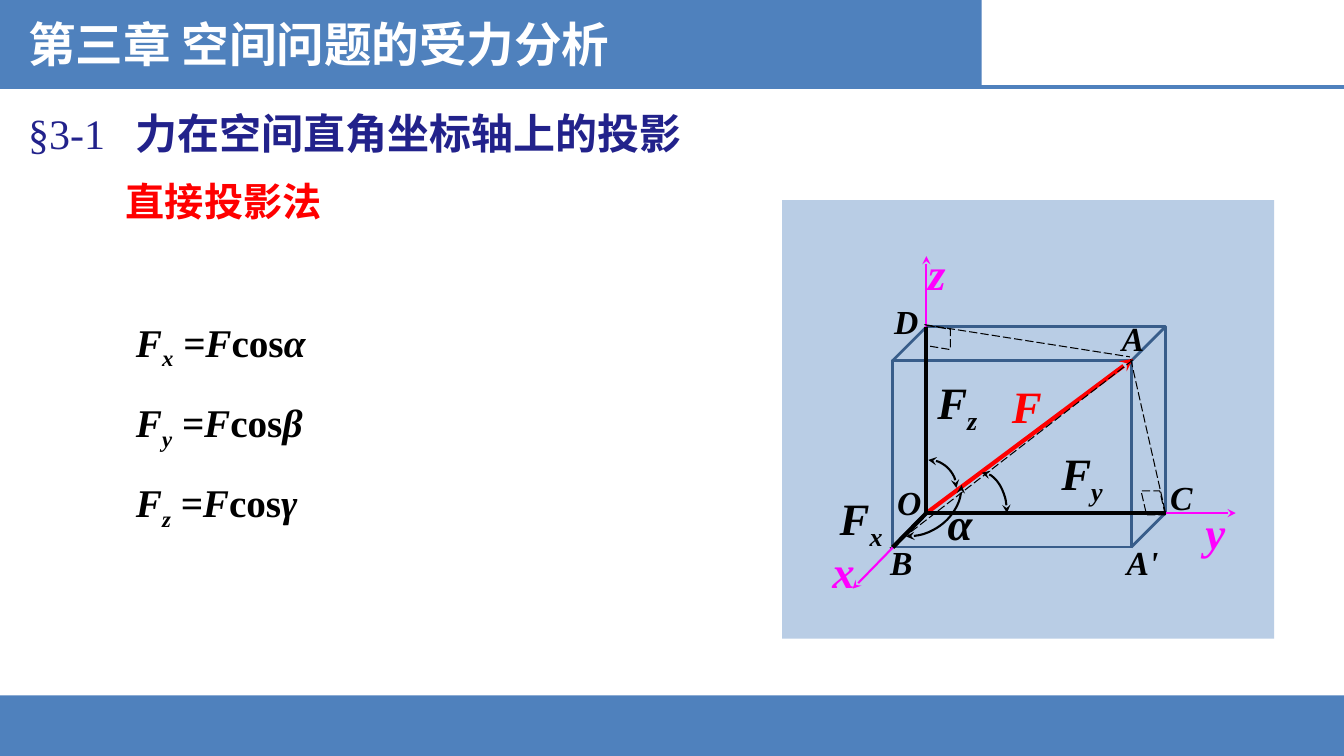
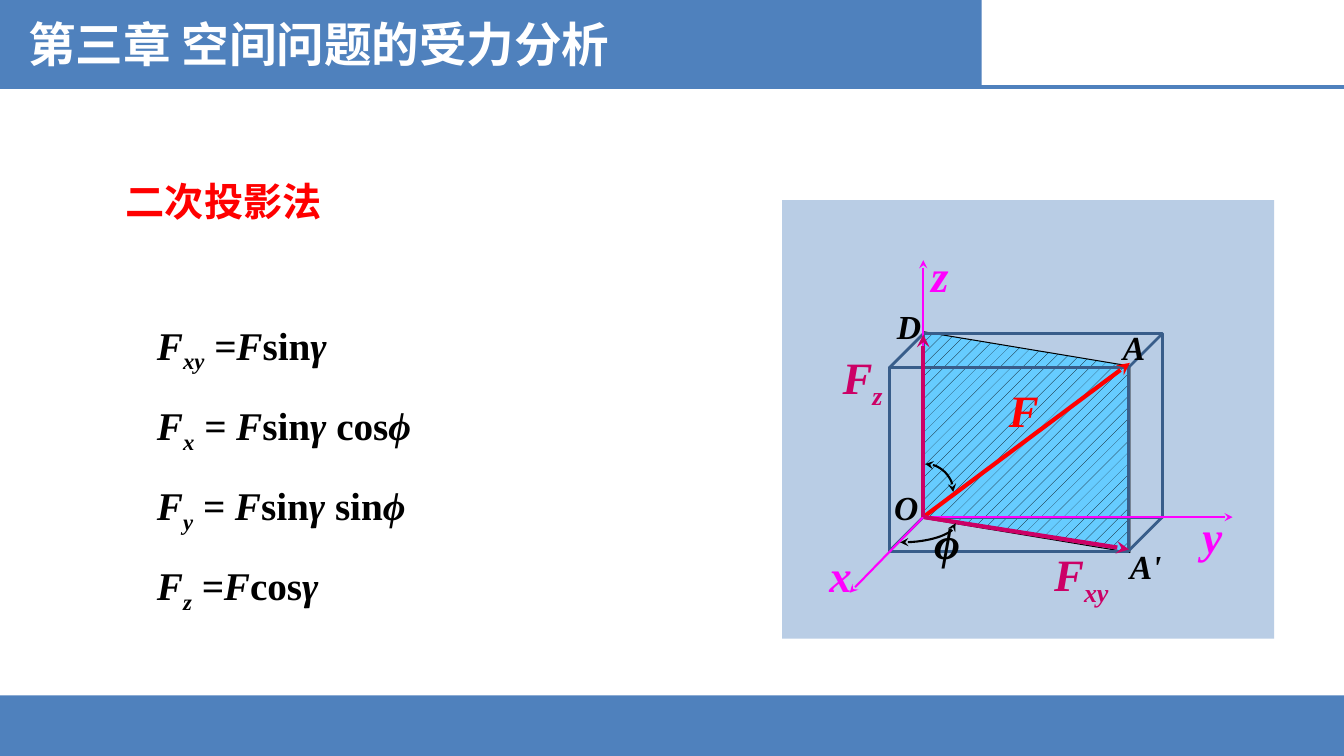
from lxml import etree
from pptx import Presentation
from pptx.dml.color import RGBColor
from pptx.enum import dml, shapes
from pptx.oxml import ns
from pptx.util import Pt


class Theme:
    band = "4F81BD"
    panel = "B9CDE5"
    cube = "385D8A"
    plane = "66CCFF"
    axis = "FF00FF"
    force = "FF0000"
    component = "CC0066"
    section = "22228B"
    white = "FFFFFF"
    black = "000000"
    chinese = "Noto Sans CJK SC"
    serif = "Times New Roman"
    title_size = 34
    section_size = 30
    body_size = 28
    symbol_size = 32
    point_size = 24


def add_text(slide, box, paragraphs, size, color, font=Theme.serif, math=False, spacing=None):
    frame = slide.shapes.add_textbox(*map(Pt, box)).text_frame
    frame.word_wrap = True
    for index, content in enumerate(paragraphs):
        paragraph = frame.paragraphs[0] if index == 0 else frame.add_paragraph()
        if spacing:
            paragraph.line_spacing = spacing
        for piece in content.split("|"):
            run = paragraph.add_run()
            run.text = piece.removeprefix("_")
            run.font.size = Pt(size)
            run.font.bold = not piece.startswith("§")
            run.font.italic = math and piece not in ("cos", "sin")
            run.font.color.rgb = RGBColor.from_string(color)
            run.font.name = font
            properties = run._r.get_or_add_rPr()
            etree.SubElement(properties, ns.qn("a:ea"), typeface=Theme.chinese)
            if piece.startswith("_"):
                properties.set("baseline", "-25000")
    return frame


def stroke(shape, color, width, ends=(), dash=False):
    shape.line.color.rgb = RGBColor.from_string(color)
    shape.line.width = Pt(width)
    if dash:
        shape.line.dash_style = dml.MSO_LINE.LONG_DASH
    outline = shape.line._get_or_add_ln()
    for end in ends:
        etree.SubElement(outline, ns.qn(f"a:{end}"), type="stealth")
    etree.SubElement(shape.element.spPr, ns.qn("a:effectLst"))


ARROW = ("tailEnd",)
BOTH = ("headEnd", "tailEnd")
PRESET = shapes.MSO_SHAPE

shared_lines = [
    ((0, 0), (0, -183.6), Theme.axis, 1.5, ARROW, False),
    ((0, 0), (221, 0), Theme.axis, 1.5, ARROW, False),
    ((0, 0), (-52.6, 54), Theme.axis, 1.5, ARROW, False),
    ((0, 0), (147.6, -110.2), Theme.force, 3, ARROW, False),
]
shared_labels = [
    ("x", -74.2, 18, Theme.symbol_size, Theme.axis),
    ("y", 192.2, -9.4, Theme.symbol_size, Theme.axis),
    ("F", 54, -99.4, Theme.symbol_size, Theme.force),
    ("O", -28, -25.5, Theme.point_size, Theme.black),
]
gamma_arc = (1.4, -18, 20, 20, 270, 0)

pages = [
    dict(
        section="§3-1|\t力在空间直角坐标轴上的投影",
        method="直接投影法",
        formula_box=(90, 204.5, 295, 160),
        formulas=["F|_x| =F|cos|α", "F|_y| =F|cos|β", "F|_z| =F|cos|γ"],
        origin=(661.7, 366.5),
        cube_height=133,
        plane=None,
        lines=[
            ((0, 0), (171.4, 0), Theme.black, 3, (), False),
            ((0, 0), (0, -133), Theme.black, 3, (), False),
            ((0, 0), (-24, 24.5), Theme.black, 3, (), False),
            ((-1.4, -134.6), (145.4, -111.6), Theme.black, 0.75, (), True),
            ((146, -110), (171, 0.7), Theme.black, 0.75, (), True),
            ((147.6, -109.4), (-26, 25), Theme.black, 0.75, (), True),
        ],
        arcs=[(39.6, 0, 18, 28.8, 270, 0), (-14.4, -20, 39.6, 36.7, 0, 90)],
        right_angles=[(0, -133.9, 90, 0.165, False), (153.4, -15.8, 0, 0.231, True)],
        labels=[
            ("z", -5.8, -194.4, Theme.symbol_size, Theme.axis),
            ("α", 8, -15.8, Theme.symbol_size, Theme.black),
            ("F|_x", -69, -19.4, Theme.symbol_size, Theme.black),
            ("F|_y", 89.3, -51.8, Theme.symbol_size, Theme.black),
            ("F|_z", 0.7, -102.2, Theme.symbol_size, Theme.black),
            ("A", 132.5, -143.3, Theme.point_size, Theme.black),
            ("B", -33, 17.3, Theme.point_size, Theme.black),
            ("A'", 136, 17.3, Theme.point_size, Theme.black),
            ("C", 167, -29.5, Theme.point_size, Theme.black),
            ("D", -30.2, -154.8, Theme.point_size, Theme.black),
        ],
    ),
    dict(
        section=None,
        method="二次投影法",
        formula_box=(105, 206.6, 295, 204.5),
        formulas=[
            "F|_xy| =F|sin|γ",
            "F|_x| = F|sin|γ |cos|ϕ",
            "F|_y| = F|sin|γ |sin|ϕ",
            "F|_z| =F|cos|γ",
        ],
        origin=(659.5, 369.4),
        cube_height=131,
        plane=(-5, -127.4, 157.7, 147.6),
        lines=[
            ((0, 0), (0, -130.3), Theme.component, 3, ARROW, False),
            ((0.7, 0), (146.9, 23), Theme.component, 3, ARROW, False),
        ],
        arcs=[(-16.5, 4.3, 39.6, 13.7, 0, 90)],
        right_angles=[],
        labels=[
            ("z", -1.4, -195.8, Theme.symbol_size, Theme.axis),
            ("ϕ", 0.7, -5, Theme.symbol_size, Theme.black),
            ("F|_z", -64.8, -123, Theme.symbol_size, Theme.component),
            ("F|_xy", 86.4, 17.3, Theme.symbol_size, Theme.component),
            ("A", 135.4, -139.7, Theme.point_size, Theme.black),
            ("A'", 140.4, 17.3, Theme.point_size, Theme.black),
            ("D", -26, -154.8, Theme.point_size, Theme.black),
        ],
    ),
]

presentation = Presentation()
presentation.slide_width = Pt(960)
presentation.slide_height = Pt(540)

for page in pages:
    slide = presentation.slides.add_slide(presentation.slide_layouts[6])

    for box, color in [
        ((0, 496.8, 960, 43.2), Theme.band),
        ((0, 0, 701.3, 62), Theme.band),
        ((558.7, 143, 351.4, 313.2), Theme.panel),
    ]:
        block = slide.shapes.add_shape(PRESET.RECTANGLE, *map(Pt, box))
        block.shadow.inherit = False
        block.fill.solid()
        block.fill.fore_color.rgb = RGBColor.from_string(color)
        block.line.fill.background()
    rule = slide.shapes.add_connector(shapes.MSO_CONNECTOR.STRAIGHT, 0, Pt(62), Pt(960), Pt(62))
    stroke(rule, Theme.band, 3)

    add_text(slide, (13, 7.2, 437, 48), ["第三章 空间问题的受力分析"],
             Theme.title_size, Theme.white, Theme.chinese)
    if page["section"]:
        frame = add_text(slide, (13, 73.4, 767.5, 44), [page["section"]],
                         Theme.section_size, Theme.section)
        tabs = etree.SubElement(frame.paragraphs[0]._p.get_or_add_pPr(), ns.qn("a:tabLst"))
        etree.SubElement(tabs, ns.qn("a:tab"), pos=str(Pt(77)), algn="l")
    add_text(slide, (82.8, 116.6, 295, 46), [page["method"]],
             Theme.body_size, Theme.force, Theme.chinese, spacing=1.2)
    add_text(slide, page["formula_box"], page["formulas"],
             Theme.body_size, Theme.black, math=True, spacing=1.5)

    left, top = page["origin"]

    if page["plane"]:
        x, y, width, height = page["plane"]
        plane = slide.shapes.add_shape(
            PRESET.PARALLELOGRAM, Pt(left + x), Pt(top + y), Pt(width), Pt(height))
        plane.rotation = 270
        plane.adjustments[0] = 0.166
        plane.fill.patterned()
        plane.fill.pattern = dml.MSO_PATTERN.PERCENT_10
        plane.fill.fore_color.rgb = RGBColor.from_string(Theme.black)
        plane.fill.back_color.rgb = RGBColor.from_string(Theme.plane)
        stroke(plane, Theme.black, 0.75)

    cube_width, cube_height, depth = 170.7, page["cube_height"], 24.3
    for shift in (0, depth):
        face = slide.shapes.add_shape(
            PRESET.RECTANGLE, Pt(left - shift), Pt(top - cube_height + shift),
            Pt(cube_width), Pt(cube_height))
        face.fill.background()
        stroke(face, Theme.cube, 2)
    edges = [
        ((x, y), (x - depth, y + depth), Theme.cube, 2, (), False)
        for x in (0, cube_width) for y in (0, -cube_height)
    ]

    for start, end, color, width, ends, dash in edges + shared_lines + page["lines"]:
        line = slide.shapes.add_connector(
            shapes.MSO_CONNECTOR.STRAIGHT,
            Pt(left + start[0]), Pt(top + start[1]), Pt(left + end[0]), Pt(top + end[1]))
        stroke(line, color, width, ends, dash)

    for x, y, radius_x, radius_y, first, last in [gamma_arc] + page["arcs"]:
        arc = slide.shapes.add_shape(
            PRESET.ARC, Pt(left + x - radius_x), Pt(top + y - radius_y),
            Pt(2 * radius_x), Pt(2 * radius_y))
        arc.adjustments[0] = first * 0.6
        arc.adjustments[1] = last * 0.6
        arc.fill.background()
        stroke(arc, Theme.black, 1.5, BOTH)

    for x, y, rotation, slant, flipped in page["right_angles"]:
        marker = slide.shapes.add_shape(
            PRESET.PARALLELOGRAM, Pt(left + x), Pt(top + y), Pt(17.3), Pt(17))
        marker.rotation = rotation
        marker.adjustments[0] = slant
        if flipped:
            marker.element.spPr.get_or_add_xfrm().set("flipH", "1")
        marker.fill.background()
        stroke(marker, Theme.black, 0.75, dash=True)

    for label, x, y, size, color in shared_labels + page["labels"]:
        box = (60, 50) if size == Theme.symbol_size else (38, 32)
        add_text(slide, (left + x, top + y, *box), [label], size, color, math=True)

presentation.save("out.pptx")
